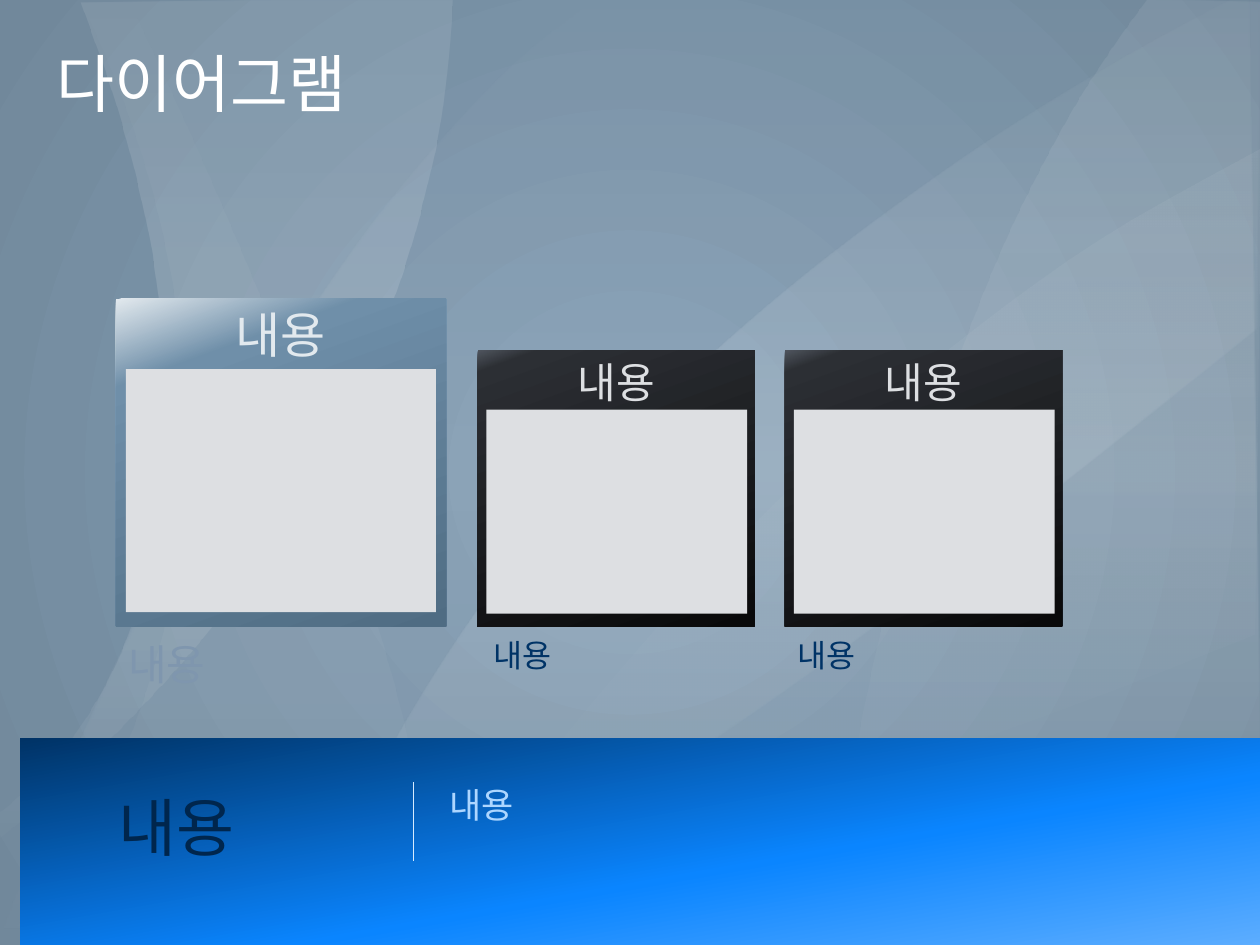
from dataclasses import dataclass

from lxml import etree
from pptx import Presentation
from pptx.dml.color import RGBColor
from pptx.enum.shapes import MSO_CONNECTOR, MSO_SHAPE
from pptx.enum.text import MSO_ANCHOR, MSO_AUTO_SIZE, PP_ALIGN
from pptx.oxml.ns import qn
from pptx.util import Inches, Pt

RECTANGLE = MSO_SHAPE.RECTANGLE
STRAIGHT = MSO_CONNECTOR.STRAIGHT
TOP, MIDDLE = MSO_ANCHOR.TOP, MSO_ANCHOR.MIDDLE
LEFT, CENTER = PP_ALIGN.LEFT, PP_ALIGN.CENTER
GROW, FIXED = MSO_AUTO_SIZE.SHAPE_TO_FIT_TEXT, MSO_AUTO_SIZE.NONE

WHITE = RGBColor(0xFF, 0xFF, 0xFF)
SKY = RGBColor(0x84, 0x9F, 0xB5)
SLATE = RGBColor(0x71, 0x88, 0x9B)
CARD = RGBColor(0xDD, 0xDF, 0xE2)
MIST = RGBColor(0xE2, 0xE9, 0xEE)
STEEL = RGBColor(0x6F, 0x8F, 0xA9)
DEEP_STEEL = RGBColor(0x4F, 0x6C, 0x83)
GRAY = RGBColor(0x4F, 0x55, 0x5E)
CHARCOAL = RGBColor(0x2C, 0x2F, 0x34)
BLACK = RGBColor(0x09, 0x09, 0x0A)
FAINT = RGBColor(0x7F, 0x96, 0xAE)
NAVY = RGBColor(0x00, 0x33, 0x66)
DARK_NAVY = RGBColor(0x00, 0x26, 0x4D)
BLUE = RGBColor(0x0A, 0x85, 0xFF)
LIGHT_BLUE = RGBColor(0x5C, 0xAD, 0xFF)
PALE_BLUE = RGBColor(0xAD, 0xD6, 0xFF)
RULE_BLUE = RGBColor(0xD6, 0xEB, 0xFF)

Point = tuple[float, float]
Area = tuple[float, float, float, float]


@dataclass(frozen=True)
class Stop:
    position: int
    color: RGBColor
    opacity: int = 100


@dataclass(frozen=True)
class Veil:
    stops: list[Stop]
    curves: list[list[Point]]


@dataclass(frozen=True)
class Label:
    text: str
    size: int
    color: RGBColor
    font: str = "Arial"
    align: PP_ALIGN = LEFT
    hanging: float = 0


@dataclass(frozen=True)
class Panel:
    frame: Area
    card: Area
    stops: list[Stop]
    heading: Label
    caption_area: Area
    caption: Label


def white_stops(*pairs: tuple[int, int]) -> list[Stop]:
    return [Stop(position, WHITE, opacity) for position, opacity in pairs]


VEILS = [
    Veil(white_stops((0, 0), (50, 8), (100, 0)), [
        [(0, 7.44), (0.46, 6.29), (1.06, 4.98), (1.86, 3.46), (2.43, 2.53),
         (3.06, 1.64), (3.74, 0.85), (4.21, 0.39), (4.71, 0)],
        [(10, -0.03)],
        [(9.97, 2.61), (9.01, 3.38), (7.73, 4.38), (6.4, 5.36), (4.93, 6.36), (3.15, 7.46)],
    ]),
    Veil(white_stops((0, 8), (50, 15), (100, 0)), [
        [(-0.4, 6.93), (0.2, 6.48), (0.99, 5.74), (1.72, 4.92), (2.34, 4.02),
         (2.82, 3.12), (3.21, 2.11), (3.45, 1.19), (3.54, 0.6), (3.59, -0.02)],
        [(0.64, 0.02), (0.91, 0.79), (1.13, 1.62), (1.26, 2.37), (1.32, 3.18),
         (1.29, 3.87), (1.16, 4.57), (0.93, 5.24), (0.6, 5.81), (0.2, 6.27), (-0.38, 6.72)],
    ]),
    Veil(white_stops((0, 1), (50, 14), (100, 0)), [
        [(9.92, -0.08), (8.96, 0.44), (7.94, 1.06), (7.05, 1.68), (6.26, 2.29),
         (5.47, 2.98), (4.69, 3.75), (3.98, 4.59), (3.47, 5.32), (3.02, 6.09),
         (2.75, 6.7), (2.52, 7.48)],
        [(10.03, 7.42)],
    ]),
    Veil(white_stops((0, 0), (50, 5), (100, 0)), [
        [(1.02, 0), (1.58, 1.22), (2.12, 2.49), (2.57, 3.67), (2.98, 4.91),
         (3.26, 5.96), (3.41, 6.8), (3.45, 7.42)],
        [(0, 7.5), (0.32, 7.11), (0.68, 6.56), (1.01, 5.89), (1.25, 5.18),
         (1.42, 4.35), (1.48, 3.4), (1.41, 2.52), (1.22, 1.57), (0.96, 0.76), (0.69, 0.12)],
    ]),
    Veil(white_stops((10, 7), (100, 0)), [
        [(6.6, 7.46), (6.68, 6.7), (6.86, 5.61), (7.18, 4.23), (7.55, 3.01),
         (7.98, 1.91), (8.44, 1), (8.8, 0.42), (9.1, 0)],
        [(10.01, 0.02)],
        [(10.05, 7.5)],
    ]),
    Veil(white_stops((0, 6), (100, 0)), [
        [(9.95, 5.03), (8.89, 5.45), (7.57, 5.93), (6.6, 6.23), (5.56, 6.51),
         (4.82, 6.78), (4.26, 7.05), (3.84, 7.36)],
        [(3.28, 7.5), (3.76, 6.79), (4.5, 5.81), (5.45, 4.71), (6.49, 3.66),
         (7.54, 2.76), (8.71, 1.91), (10, 1.18)],
    ]),
]

STEEL_STOPS = [Stop(0, MIST), Stop(20, STEEL), Stop(100, DEEP_STEEL)]
DARK_STOPS = [Stop(0, GRAY), Stop(6, CHARCOAL), Stop(100, BLACK)]
BANNER_STOPS = [Stop(0, LIGHT_BLUE), Stop(40, BLUE), Stop(100, NAVY)]


def dark_panel(left: float, caption_left: float) -> Panel:
    return Panel((left, 2.78, 2.2, 2.19), (left + 0.07, 3.25, 2.07, 1.62), DARK_STOPS,
                 Label("내용", 24, CARD, align=CENTER),
                 (caption_left, 5, 2.19, 0.4), Label("내용", 18, NAVY))


PANELS = [
    dark_panel(3.79, 3.82),
    dark_panel(6.23, 6.23),
    Panel((0.92, 2.37, 2.62, 2.6), (1, 2.93, 2.46, 1.93), STEEL_STOPS,
          Label("내용", 28, MIST, align=CENTER),
          (0.92, 5.02, 2.19, 0.5), Label("내용", 24, FAINT)),
]


def set_gradient(owner, stops: list[Stop], angle: int | None) -> None:
    gradient = etree.Element(qn("a:gradFill"), rotWithShape="1")
    stop_list = etree.SubElement(gradient, qn("a:gsLst"))
    for stop in stops:
        entry = etree.SubElement(stop_list, qn("a:gs"), pos=str(stop.position * 1000))
        color = etree.SubElement(entry, qn("a:srgbClr"), val=str(stop.color))
        if stop.opacity < 100:
            etree.SubElement(color, qn("a:alpha"), val=str(stop.opacity * 1000))
    if angle is None:
        radial = etree.SubElement(gradient, qn("a:path"), path="circle")
        center = dict.fromkeys("ltrb", "50000")
        etree.SubElement(radial, qn("a:fillToRect"), **center)
    else:
        etree.SubElement(gradient, qn("a:lin"), ang=str(angle * 60000), scaled="0")
    owner.replace(owner.find(qn("a:solidFill")), gradient)


def paint(shape, stops: list[Stop], angle: int = 0) -> None:
    shape.shadow.inherit = False
    shape.line.fill.background()
    shape.fill.solid()
    shape.fill.fore_color.rgb = stops[0].color
    if len(stops) > 1:
        set_gradient(shape._element.spPr, stops, angle)


def smooth(curve: list[Point], steps: int = 5) -> list[Point]:
    padded = [curve[0], *curve, curve[-1]]
    points = []
    for a, b, c, d in zip(padded, padded[1:], padded[2:], padded[3:]):
        for t in (step / steps for step in range(steps)):
            points.append(tuple(
                q + t * (r - p + t * (2 * p - 5 * q + 4 * r - s + t * (3 * q - p - 3 * r + s))) / 2
                for p, q, r, s in zip(a, b, c, d)))
    return [*points, curve[-1]]


def draw_veil(slide, veil: Veil) -> None:
    outline = [(Inches(x), Inches(y)) for curve in veil.curves for x, y in smooth(curve)]
    builder = slide.shapes.build_freeform(*outline[0])
    builder.add_line_segments(outline[1:], close=True)
    paint(builder.convert_to_shape(), veil.stops, 90)


def draw_block(slide, area: Area, stops: list[Stop], angle: int = 0):
    block = slide.shapes.add_shape(RECTANGLE, *map(Inches, area))
    paint(block, stops, angle)
    return block


def write(box, label: Label, anchor: MSO_ANCHOR = TOP) -> None:
    frame = box.text_frame
    frame.word_wrap = True
    frame.vertical_anchor = anchor
    para = frame.paragraphs[0]
    para.alignment = label.align
    if label.hanging:
        properties = para._p.get_or_add_pPr()
        properties.set("marL", str(Inches(label.hanging)))
        properties.set("indent", str(-Inches(label.hanging)))
    span = para.add_run()
    span.text = label.text
    span.font.name = label.font
    span.font.size = Pt(label.size)
    span.font.color.rgb = label.color


def draw_text(slide, area: Area, label: Label, anchor: MSO_ANCHOR = TOP,
              sizing: MSO_AUTO_SIZE = GROW, inset: bool = True) -> None:
    box = slide.shapes.add_textbox(*map(Inches, area))
    write(box, label, anchor)
    frame = box.text_frame
    frame.auto_size = sizing
    if not inset:
        frame.margin_left = frame.margin_right = frame.margin_top = frame.margin_bottom = 0


def draw_panel(slide, panel: Panel) -> None:
    write(draw_block(slide, panel.frame, panel.stops, 70), panel.heading)
    draw_block(slide, panel.card, [Stop(0, CARD)])
    draw_text(slide, panel.caption_area, panel.caption)


def draw_rule(slide, x: float, top: float, bottom: float) -> None:
    rule = slide.shapes.add_connector(STRAIGHT, *map(Inches, (x, top, x, bottom)))
    rule.line.color.rgb = RULE_BLUE
    rule.line.width = Pt(0.75)
    etree.SubElement(rule._element.spPr, qn("a:effectLst"))


def main() -> None:
    deck = Presentation()
    deck.slide_width, deck.slide_height = Inches(10), Inches(7.5)
    slide = deck.slides.add_slide(deck.slide_layouts[6])
    slide.background.fill.solid()
    backdrop = slide._element.find(".//" + qn("p:bgPr"))
    set_gradient(backdrop, [Stop(0, SKY), Stop(100, SLATE)], None)
    for veil in VEILS:
        draw_veil(slide, veil)
    draw_text(slide, (0.35, 0.14, 9.27, 1.03), Label("다이어그램", 36, WHITE, "Roboto"),
              MIDDLE, FIXED)
    for panel in PANELS:
        draw_panel(slide, panel)
    draw_block(slide, (0.16, 5.86, 9.84, 1.64), BANNER_STOPS, 260)
    draw_text(slide, (0.94, 6.26, 2.16, 0.6), Label("내용", 36, DARK_NAVY), MIDDLE, inset=False)
    draw_text(slide, (3.47, 6.17, 5.83, 0.77), Label("내용", 20, PALE_BLUE, hanging=0.19))
    draw_rule(slide, 3.28, 6.21, 6.83)
    deck.save("out.pptx")


if __name__ == "__main__":
    main()
